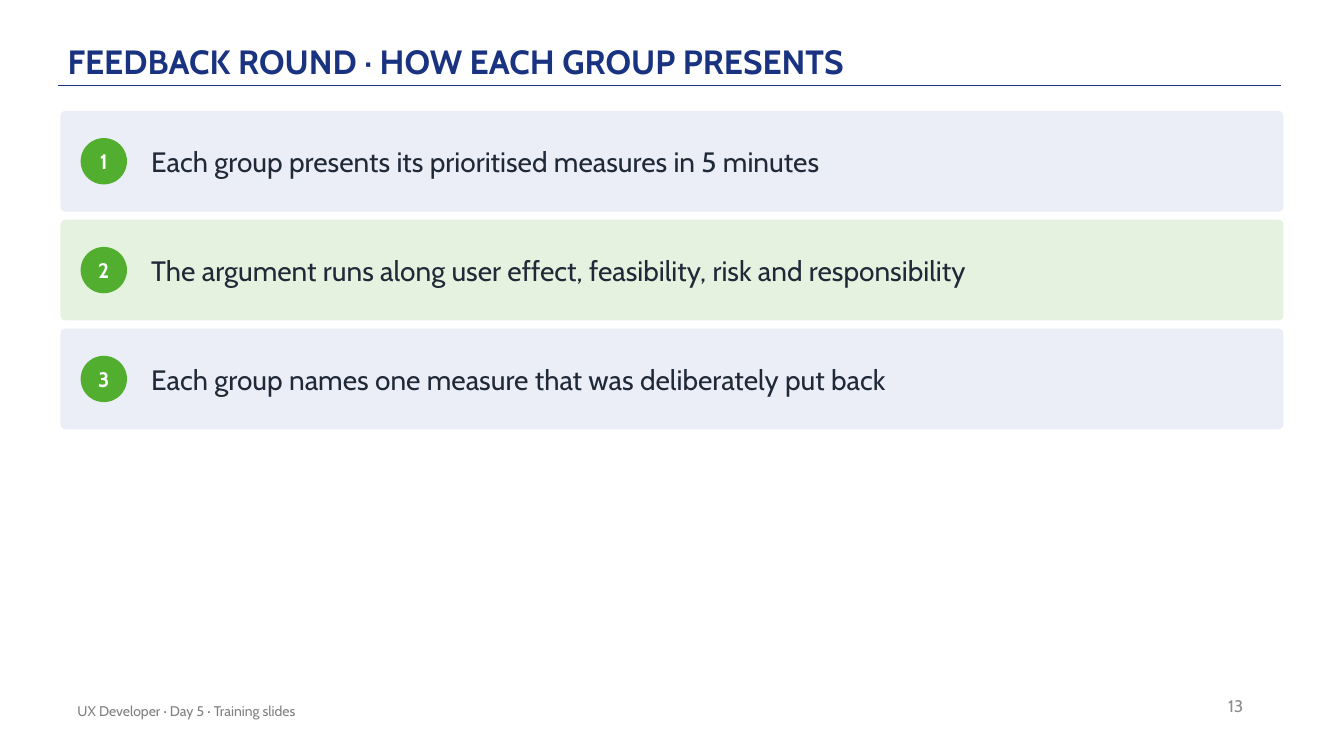
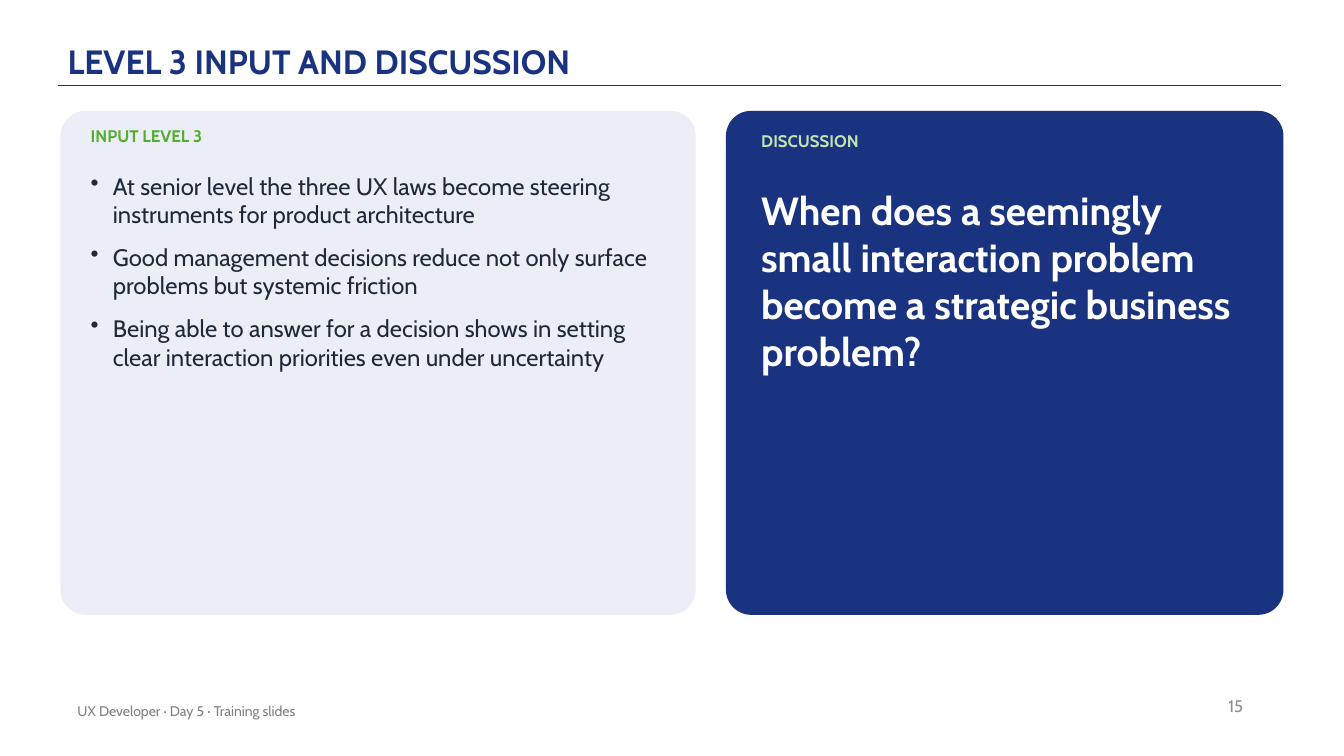
from lxml.etree import SubElement
from pptx import Presentation
from pptx.dml.color import RGBColor
from pptx.enum.shapes import MSO_CONNECTOR as Connector, MSO_SHAPE as Shape
from pptx.enum.text import MSO_ANCHOR as Anchor, PP_ALIGN as Align
from pptx.oxml.ns import qn
from pptx.util import Pt

NAVY = RGBColor(0x1A, 0x33, 0x81)
GREEN = RGBColor(0x51, 0xAE, 0x2F)
LIGHT_GREEN = RGBColor(0xBF, 0xE5, 0xAE)
PALE_GREEN = RGBColor(0xE5, 0xF2, 0xDF)
PALE_BLUE = RGBColor(0xEC, 0xEE, 0xF7)
INK = RGBColor(0x1F, 0x29, 0x37)
GREY = RGBColor(0x80, 0x80, 0x80)
PAGE_GREY = RGBColor(0x8C, 0x8C, 0x8C)
WHITE = RGBColor(0xFF, 0xFF, 0xFF)

FOOTER = "UX Developer · Day 5 · Training slides"
FEEDBACK = {
    "title": "FEEDBACK ROUND · HOW EACH GROUP PRESENTS",
    "number": 13,
    "steps": [
        "Each group presents its prioritised measures in 5 minutes",
        "The argument runs along user effect, feasibility, risk and responsibility",
        "Each group names one measure that was deliberately put back",
    ],
}
LEVEL_3 = {
    "title": "LEVEL 3 INPUT AND DISCUSSION",
    "number": 15,
    "input_label": "INPUT LEVEL 3",
    "points": [
        "At senior level the three UX laws become steering instruments for product architecture",
        "Good management decisions reduce not only surface problems but systemic friction",
        "Being able to answer for a decision shows in setting clear interaction priorities "
        "even under uncertainty",
    ],
    "discussion_label": "DISCUSSION",
    "question": "When does a seemingly small interaction problem become a strategic "
                "business problem?",
}

TITLE = dict(size=Pt(24), bold=True, color=NAVY)
PAGE_NUMBER = dict(size=Pt(12), color=PAGE_GREY)
FOOTNOTE = dict(size=Pt(10), color=GREY)
BADGE = dict(size=Pt(15), bold=True, color=WHITE)
STEP = dict(size=Pt(20), color=INK)
INPUT_LABEL = dict(size=Pt(12), bold=True, color=GREEN)
DISCUSSION_LABEL = dict(size=Pt(12), bold=True, color=LIGHT_GREEN)
POINT = dict(size=Pt(17), color=INK)
QUESTION = dict(size=Pt(28), bold=True, color=WHITE)

SCALE = 9144
LEFT, TOP, WIDTH = 60, 110, 1213
ROW_HEIGHT, ROW_GAP, BADGE_SIZE = 100, 8, 46
PANEL_HEIGHT, INPUT_WIDTH, PANEL_GAP = 500, 630, 30
BULLET_INDENT = 22


def px(*lengths):
    return [length * SCALE for length in lengths]


def style_font(font, style):
    for name, value in dict(style, name="Cabin").items():
        if name == "color":
            font.color.rgb = value
        else:
            setattr(font, name, value)


def write(shape, texts, style, anchor=Anchor.TOP, margins=(0, 0), bullet=False, **layout):
    frame = shape.text_frame
    frame.word_wrap = True
    frame.vertical_anchor = anchor
    frame.margin_left = frame.margin_right = margins[0] * SCALE
    frame.margin_top = frame.margin_bottom = margins[1] * SCALE
    for index, text in enumerate(texts):
        para = frame.add_paragraph() if index else frame.paragraphs[0]
        if bullet:
            props = para._p.get_or_add_pPr()
            props.set("marL", str(BULLET_INDENT * SCALE))
            props.set("indent", str(-BULLET_INDENT * SCALE))
            SubElement(props, qn("a:buChar")).set("char", "•")
        for name, value in layout.items():
            setattr(para, name, value)
        span = para.add_run()
        span.text = text
        style_font(span.font, style)


def add_text(page, area, texts, style, **options):
    write(page.shapes.add_textbox(*px(*area)), texts, style, **options)


def add_block(page, kind, area, color):
    shape = page.shapes.add_shape(kind, *px(*area))
    shape.shadow.inherit = False
    shape.fill.solid()
    shape.fill.fore_color.rgb = color
    shape.line.fill.background()
    if kind == Shape.ROUNDED_RECTANGLE:
        shape.adjustments[0] = 0.05
    return shape


def add_page(deck, content):
    page = deck.slides.add_slide(deck.slide_layouts[6])
    rule = page.shapes.add_connector(Connector.STRAIGHT, *px(58, 85, 1271, 85))
    rule.line.color.rgb = NAVY
    rule.line.width = Pt(1)
    SubElement(rule._element.spPr, qn("a:effectLst"))
    add_text(page, (67, 12, 1100, 72), [content["title"]], TITLE,
             anchor=Anchor.BOTTOM, margins=(0, 3), line_spacing=0.9)
    add_text(page, (943, 680, 300, 40), [str(content["number"])], PAGE_NUMBER,
             anchor=Anchor.MIDDLE, margins=(10, 5), alignment=Align.RIGHT)
    add_text(page, (67, 685, 670, 40), [FOOTER], FOOTNOTE,
             anchor=Anchor.MIDDLE, margins=(10, 5))
    return page


def build_feedback(deck, content):
    page = add_page(deck, content)
    for index, step in enumerate(content["steps"]):
        top = TOP + index * (ROW_HEIGHT + ROW_GAP)
        color = PALE_GREEN if index % 2 else PALE_BLUE
        add_block(page, Shape.ROUNDED_RECTANGLE, (LEFT, top, WIDTH, ROW_HEIGHT), color)
        badge_top = top + (ROW_HEIGHT - BADGE_SIZE) // 2
        badge = add_block(page, Shape.OVAL,
                          (LEFT + 20, badge_top, BADGE_SIZE, BADGE_SIZE), GREEN)
        write(badge, [str(index + 1)], BADGE, anchor=Anchor.MIDDLE, alignment=Align.CENTER)
        add_text(page, (LEFT + 90, top, WIDTH - 110, ROW_HEIGHT), [step], STEP,
                 anchor=Anchor.MIDDLE)


def build_level_3(deck, content):
    page = add_page(deck, content)
    right = LEFT + INPUT_WIDTH + PANEL_GAP
    right_width = LEFT + WIDTH - right

    add_block(page, Shape.ROUNDED_RECTANGLE, (LEFT, TOP, INPUT_WIDTH, PANEL_HEIGHT), PALE_BLUE)
    add_text(page, (LEFT + 30, TOP + 15, INPUT_WIDTH - 60, 35), [content["input_label"]],
             INPUT_LABEL, space_after=Pt(6))
    add_text(page, (LEFT + 30, TOP + 60, INPUT_WIDTH - 60, 420), content["points"],
             POINT, bullet=True, space_after=Pt(10))

    add_block(page, Shape.ROUNDED_RECTANGLE, (right, TOP, right_width, PANEL_HEIGHT), NAVY)
    add_text(page, (right + 35, TOP + 20, 450, 35), [content["discussion_label"]],
             DISCUSSION_LABEL, space_after=Pt(6))
    add_text(page, (right + 35, TOP + 75, right_width - 70, 400), [content["question"]],
             QUESTION, space_after=Pt(6))


def main():
    deck = Presentation()
    deck.slide_width, deck.slide_height = px(1333, 750)
    build_feedback(deck, FEEDBACK)
    build_level_3(deck, LEVEL_3)
    deck.save("out.pptx")


if __name__ == "__main__":
    main()
